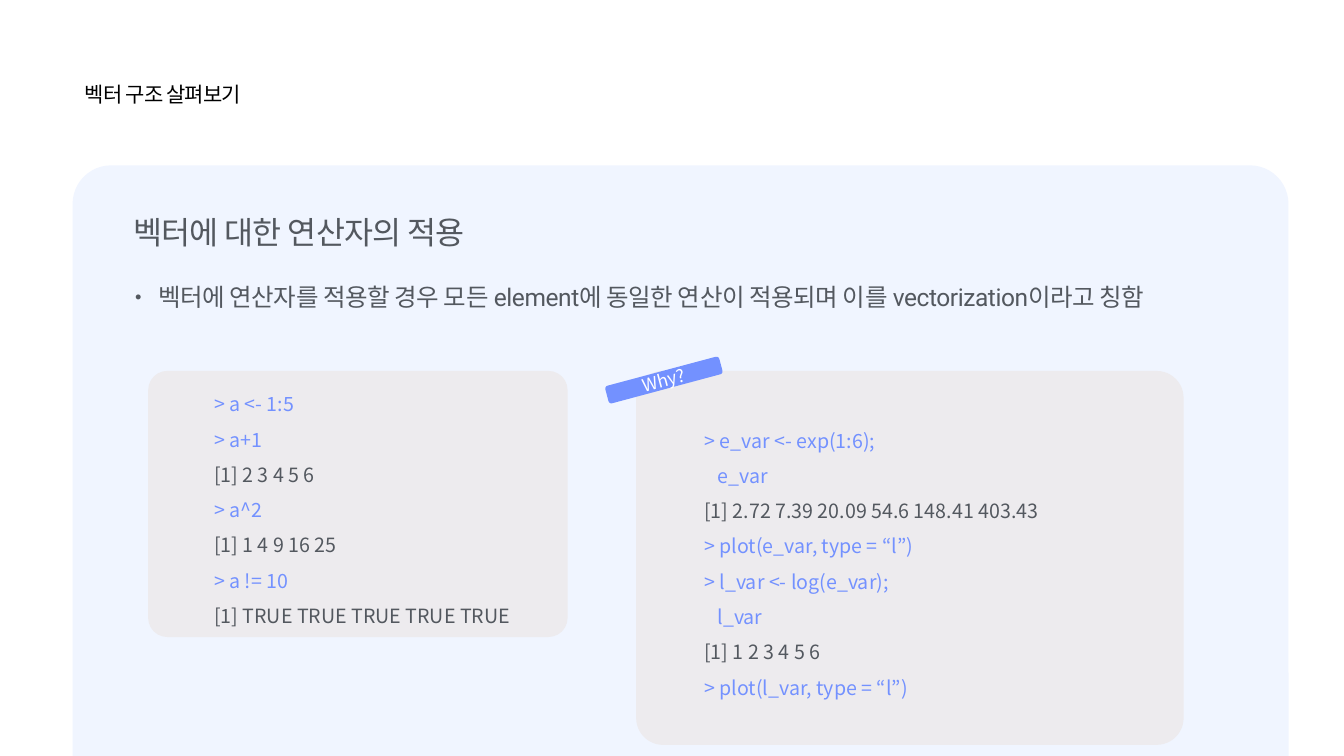
from pptx import Presentation
from pptx import util as u
from pptx.dml.color import RGBColor
from pptx.enum import shapes, text
from pptx.oxml.ns import qn
from lxml import etree

SCALE = 9144
BLACK = RGBColor(0, 0, 0)
WHITE = RGBColor(255, 255, 255)
GREY = RGBColor(0x53, 0x58, 0x5F)
BLUE = RGBColor(0x73, 0x91, 0xFF)
PANEL = RGBColor(0xF0, 0xF5, 0xFF)
CARD = RGBColor(0xED, 0xEB, 0xEE)
ROBOTO = "Roboto"
NOTO = "Noto Sans CJK KR"

VECTOR_CODE = [
    "> a <- 1:5",
    "> a+1",
    "[1] 2 3 4 5 6",
    "> a^2",
    "[1] 1 4 9 16 25",
    "> a != 10",
    "[1] TRUE TRUE TRUE TRUE TRUE",
]
PLOT_CODE = [
    "> e_var <- exp(1:6);",
    "   e_var",
    "[1] 2.72 7.39 20.09 54.6 148.41 403.43",
    "> plot(e_var, type = “l”)",
    "> l_var <- log(e_var);",
    "   l_var",
    "[1] 1 2 3 4 5 6",
    "> plot(l_var, type = “l”)",
]


def px(length):
    """Turn px into EMU."""
    return u.Emu(length * SCALE)


def place(item, box):
    """Move an item to a left, top, width, height box."""
    item.left, item.top, item.width, item.height = map(px, box)


def set_frame(item, margin, anchor=text.MSO_ANCHOR.TOP, grow=False):
    """Set the margins, wrapping and anchor of a text frame."""
    frame = item.text_frame
    frame.word_wrap = True
    frame.vertical_anchor = anchor
    frame.auto_size = text.MSO_AUTO_SIZE.SHAPE_TO_FIT_TEXT if grow else text.MSO_AUTO_SIZE.NONE
    frame.margin_left = frame.margin_right = px(margin)
    frame.margin_top = frame.margin_bottom = px(margin)
    return frame


def write(para, words, size, color, font=ROBOTO, align=text.PP_ALIGN.LEFT,
          spacing=0, line=1.0, after=0, left=0, hang=0, bullet=None):
    """Write one formatted paragraph."""
    props = para._p.get_or_add_pPr()
    props.set("marL", str(px(left)))
    props.set("indent", str(px(-hang)))
    if bullet:
        etree.SubElement(props, qn("a:buSzPct"), val="75000")
        etree.SubElement(props, qn("a:buChar"), char=bullet)
    para.alignment = align
    para.line_spacing = line
    para.space_before = u.Pt(0)
    para.space_after = u.Pt(after)
    span = para.add_run()
    span.text = words
    span.font.size = u.Pt(size)
    span.font.color.rgb = color
    span.font.name = font
    run_props = span._r.get_or_add_rPr()
    run_props.set("spc", str(spacing))
    etree.SubElement(run_props, qn("a:ea"), typeface=NOTO)


def add_round_box(page, box, fill, rounding):
    """Add a plain rounded rectangle."""
    shape = page.shapes.add_shape(shapes.MSO_SHAPE.ROUNDED_RECTANGLE, *map(px, box))
    shape.adjustments[0] = rounding
    shape.shadow.inherit = False
    shape.fill.solid()
    shape.fill.fore_color.rgb = fill
    shape.line.fill.background()
    return shape


def add_title(page, box):
    """Fill the title placeholder."""
    title = page.shapes.title
    place(title, box)
    frame = set_frame(title, 1, grow=True)
    write(frame.paragraphs[0], "벡터 구조 살펴보기", 15, BLACK, spacing=-60)


def add_panel(page, box):
    """Add the panel behind the body, with its heading and bullet."""
    left, top, width, height = box
    panel = add_round_box(page, box, PANEL, 0.061)
    page.shapes.title._element.addnext(panel._element)

    body = page.placeholders[1]
    place(body, (left + 59, top + 113, 1154, 35))
    frame = set_frame(body, 3, grow=True)
    write(frame.paragraphs[0],
          "벡터에 연산자를 적용할 경우 모든 element에 동일한 연산이 적용되며 이를 vectorization이라고 칭함",
          17.5, GREY, spacing=-30, after=10, left=23, hang=23, bullet="•")

    heading = page.shapes.add_textbox(*map(px, (left + 59, top + 46, 682, 39)))
    frame = set_frame(heading, 1, grow=True)
    write(frame.paragraphs[0], "벡터에 대한 연산자의 적용", 22.5, GREY, spacing=-50, after=7.5)


def add_code_card(page, box, lines):
    """Add a card of code, with input in blue and output in grey."""
    card = add_round_box(page, box, CARD, 0.072)
    frame = set_frame(card, 5, text.MSO_ANCHOR.MIDDLE)
    frame.margin_left = frame.margin_right = px(10)
    for index, words in enumerate(lines):
        para = frame.add_paragraph() if index else frame.paragraphs[0]
        color = GREY if words.startswith("[") else BLUE
        write(para, words, 14, color, font=NOTO, line=1.5, left=50)


def add_tag(page, box):
    """Add the tilted tag."""
    tag = add_round_box(page, box, BLUE, 0.164)
    tag.rotation = 345
    frame = set_frame(tag, 3, text.MSO_ANCHOR.MIDDLE)
    write(frame.paragraphs[0], "Why?", 12.5, WHITE, font=NOTO, align=text.PP_ALIGN.CENTER)


def main():
    """Build and save the deck."""
    deck = Presentation()
    deck.slide_width, deck.slide_height = px(1333), px(750)
    page = deck.slides.add_slide(deck.slide_layouts[1])
    add_title(page, (83, 80, 304, 27))
    add_panel(page, (72, 164, 1206, 628))
    add_code_card(page, (147, 368, 416, 264), VECTOR_CODE)
    add_code_card(page, (631, 368, 543, 371), PLOT_CODE)
    add_tag(page, (600, 368, 117, 18))
    deck.save("out.pptx")


if __name__ == "__main__":
    main()
